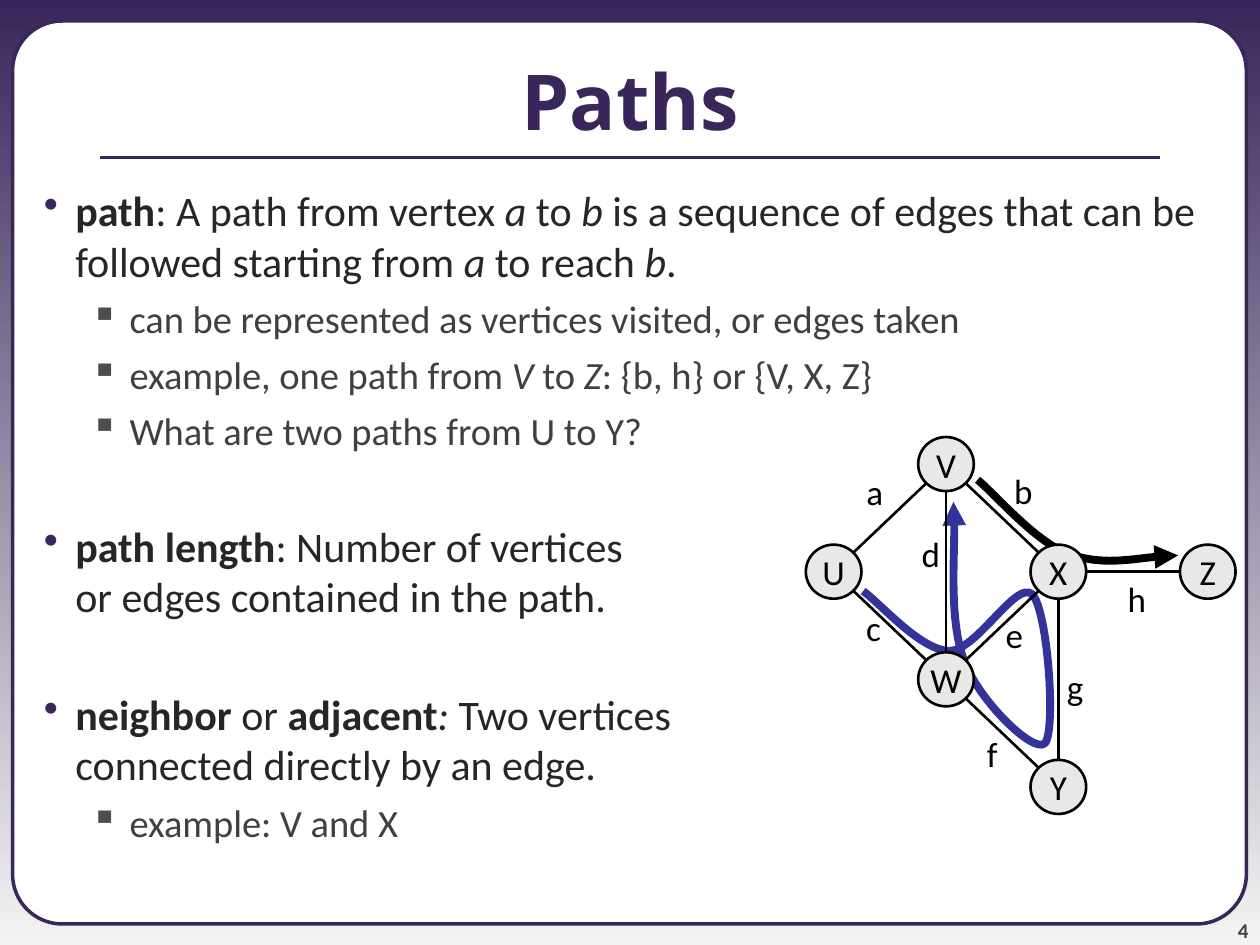
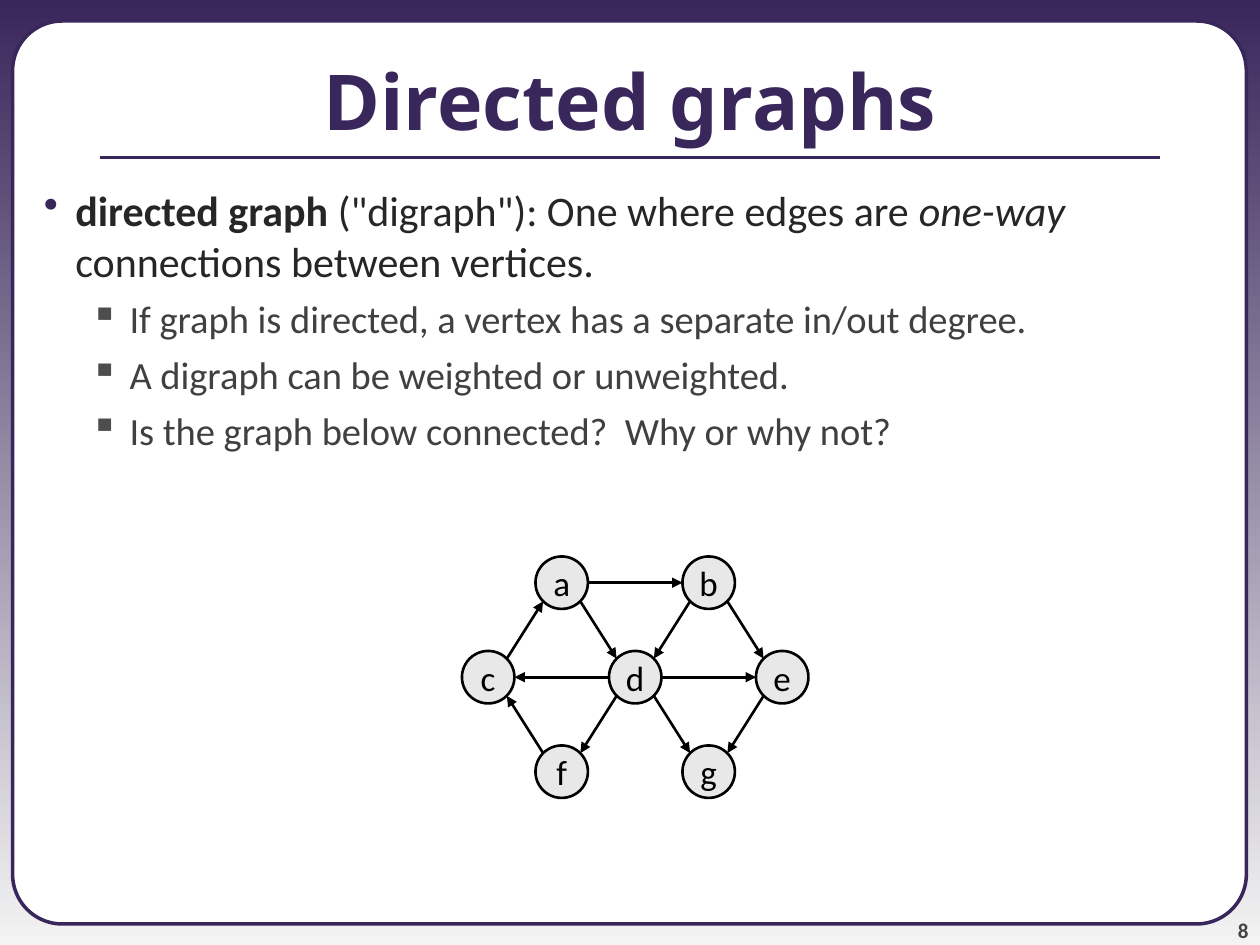
from dataclasses import dataclass

from lxml.etree import SubElement
from pptx import Presentation
from pptx.dml.color import RGBColor
from pptx.enum.shapes import MSO_CONNECTOR, MSO_SHAPE
from pptx.enum.text import MSO_ANCHOR as Anchor, PP_ALIGN as Align
from pptx.oxml.ns import qn
from pptx.util import Inches, Pt

COLORS = {
    "purple": "39275B", "mist": "F3F3F3", "white": "FFFFFF", "black": "000000",
    "node": "E8E8E8", "route": "333399", "number": "424242",
    "text": "262626", "subtext": "404040", "subbullet": "4D4D4D",
}
BODY_FONT, TITLE_FONT = "Calibri", "Noto Sans"

# The slide is a grid of 120 columns and 90 rows
COLUMNS, ROWS = 120, 90
WIDTH, HEIGHT = Inches(10), Inches(7.5)
DIAGONAL = 0.71  # share of the radius where a slanted edge meets a node


@dataclass(frozen=True)
class Level:
    bullet: str
    bullet_color: str
    color: str
    size: float
    margin: float
    hanging: float
    before: float


@dataclass(frozen=True)
class Item:
    text: str  # *bold*, _italic_
    level: int = 0
    gap: float = 0  # extra points above


@dataclass(frozen=True)
class Graph:
    origin: tuple[float, float]
    step: tuple[float, float]
    node_size: tuple[float, float]
    nodes: dict[str, tuple[float, float]]
    edges: str
    directed: bool = False

    def center(self, name: str) -> tuple[float, float]:
        column, row = self.nodes[name]
        return (self.origin[0] + column * self.step[0],
                self.origin[1] + row * self.step[1])


@dataclass(frozen=True)
class Route:
    color: str
    points: list[tuple[float, float]]  # a start, then three points per curve


LEVELS = [
    Level("•", "purple", "text", 24, 0.5, 0.25, 6),
    Level("▪", "subbullet", "subtext", 22, 0.93, 0.31, 5.5),
]
SECTION_GAP = 32.4

PATH_ITEMS = [
    Item("*path*: A path from vertex _a_ to _b_ is a sequence of edges that can be "
         "followed starting from _a_ to reach _b_."),
    Item("can be represented as vertices visited, or edges taken", 1),
    Item("example, one path from _V_ to _Z_: {b, h} or {V, X, Z}", 1),
    Item("What are two paths from U to Y?", 1),
    Item("*path length*: Number of vertices\nor edges contained in the path.",
         gap=SECTION_GAP),
    Item("*neighbor *or *adjacent*_: _Two vertices\nconnected directly by an edge.",
         gap=SECTION_GAP),
    Item("example: V and X", 1),
]
DIGRAPH_ITEMS = [
    Item('*directed graph *("digraph"): One where edges are _one-way_ '
         "connections between vertices."),
    Item("If graph is directed, a vertex has a separate in/out degree.", 1),
    Item("A digraph can be weighted or unweighted.", 1),
    Item("Is the graph below connected?  Why or why not?", 1),
]

PATH_GRAPH = Graph(
    (79.4, 44.2), (10.7, 10.25), (5.3, 5.15),
    {"V": (1, 0), "U": (0, 1), "X": (2, 1), "Z": (3.33, 1), "W": (1, 2), "Y": (2, 3)},
    "VU WU WX XZ VX VW WY XY")
DIGRAPH = Graph(
    (46.5, 55.5), (7, 9), (5, 5),
    {"a": (1, 0), "b": (3, 0), "c": (0, 1), "d": (2, 1), "e": (4, 1),
     "f": (1, 2), "g": (3, 2)},
    "ca ab ad bd be de dg eg df fc dc", directed=True)
EDGE_LABELS = {
    "a": (83.3, 46.9), "b": (97.4, 46.8), "c": (83.2, 59.8), "d": (88.6, 52.8),
    "e": (96.6, 60.5), "f": (94.5, 71.8), "g": (102.4, 65.4), "h": (108.2, 57.1),
}
ROUTES = [
    Route("route", [
        (82.2, 56.3), (83.9, 57.5), (87.6, 61.9), (90.4, 62),
        (93, 62), (96.8, 55.2), (98.3, 56.6), (99.8, 58.1), (100.6, 69.7), (99.5, 70.8),
        (98.4, 71.8), (93.2, 66.7), (91.8, 62.9), (90.4, 59), (91.1, 50.3), (90.8, 47.8)]),
    Route("black", [
        (93.1, 45.7), (94.6, 46.9), (98.5, 51.5), (101.6, 52.7),
        (104.9, 53.9), (110, 52.9), (112.2, 52.9)]),
]


def rgb(name: str) -> RGBColor:
    return RGBColor.from_string(COLORS[name])


def across(columns: float) -> int:
    return round(WIDTH * columns / COLUMNS)


def down(rows: float) -> int:
    return round(HEIGHT * rows / ROWS)


def box(left: float, top: float, width: float, height: float) -> tuple[int, ...]:
    return across(left), down(top), across(width), down(height)


def centered(center: tuple[float, float], width: float, height: float) -> tuple[int, ...]:
    return box(center[0] - width / 2, center[1] - height / 2, width, height)


def write(paragraph, text: str, *, size: float, color: str = "black",
          font: str = BODY_FONT, bold: bool = False, align=Align.LEFT) -> None:
    """Fill a paragraph; *...* turns bold on and _..._ turns italic on."""
    paragraph.alignment = align
    for bold_index, chunk in enumerate(text.split("*")):
        for italic_index, piece in enumerate(chunk.split("_")):
            for line_index, line in enumerate(piece.split("\n")):
                if line_index:
                    paragraph.add_line_break()
                if not line:
                    continue
                run = paragraph.add_run()
                run.text = line
                run.font.name, run.font.size = font, Pt(size)
                run.font.color.rgb = rgb(color)
                run.font.bold = bold or bold_index % 2 == 1
                run.font.italic = italic_index % 2 == 1


def add_text(slide, place: tuple[int, ...], text: str, *, anchor=Anchor.TOP,
             wrap: bool = True, inset: bool = True, **style) -> None:
    frame = slide.shapes.add_textbox(*place).text_frame
    frame.word_wrap, frame.vertical_anchor = wrap, anchor
    if not inset:
        frame.margin_left = frame.margin_right = 0
        frame.margin_top = frame.margin_bottom = 0
    write(frame.paragraphs[0], text, **style)


def style_line(shape, color: str, width: float, arrow: bool = False) -> None:
    shape.line.color.rgb = rgb(color)
    shape.line.width = Pt(width)
    if arrow:
        SubElement(shape.line._get_or_add_ln(), qn("a:tailEnd"), type="triangle")


def add_solid(slide, kind, place: tuple[int, ...], fill: str, line: str, width: float):
    shape = slide.shapes.add_shape(kind, *place)
    shape.shadow.inherit = False
    shape.fill.solid()
    shape.fill.fore_color.rgb = rgb(fill)
    style_line(shape, line, width)
    return shape


def add_line(slide, start: tuple[float, float], end: tuple[float, float],
             color: str, width: float, arrow: bool = False) -> None:
    connector = slide.shapes.add_connector(
        MSO_CONNECTOR.STRAIGHT, across(start[0]), down(start[1]),
        across(end[0]), down(end[1]))
    style_line(connector, color, width, arrow)
    SubElement(connector.element.spPr, qn("a:effectLst"))


def add_route(slide, route: Route) -> None:
    points = [(across(x), down(y)) for x, y in route.points]
    builder = slide.shapes.build_freeform(*points[0], scale=1.0)
    builder.add_line_segments(points[1:], close=False)
    shape = builder.convert_to_shape()
    shape.shadow.inherit = False
    shape.fill.background()
    style_line(shape, route.color, 4.5, arrow=True)
    # Turn every three straight segments into one Bézier curve
    segments = list(shape.element.iter(qn("a:lnTo")))
    for index in range(0, len(segments), 3):
        curve = SubElement(segments[index].getparent(), qn("a:cubicBezTo"))
        for segment in segments[index:index + 3]:
            curve.append(segment[0])
            segment.getparent().remove(segment)


def edge_end(graph: Graph, name: str, toward: str) -> tuple[float, float]:
    """Point on the rim of one node that faces another."""
    here, there = graph.center(name), graph.center(toward)
    signs = [(b > a) - (b < a) for a, b in zip(here, there)]
    share = DIAGONAL if all(signs) else 1
    x, y = (middle + sign * share * size / 2
            for middle, sign, size in zip(here, signs, graph.node_size))
    return x, y


def add_graph(slide, graph: Graph) -> None:
    for name in graph.nodes:
        place = centered(graph.center(name), *graph.node_size)
        node = add_solid(slide, MSO_SHAPE.OVAL, place, "node", "black", 1.5)
        node.text_frame.word_wrap = False
        node.text_frame.vertical_anchor = Anchor.MIDDLE
        write(node.text_frame.paragraphs[0], name, size=20, align=Align.CENTER)
    for tail, head in graph.edges.split():
        add_line(slide, edge_end(graph, tail, head), edge_end(graph, head, tail),
                 "black", 1.5, graph.directed)


def add_body(slide, items: list[Item]) -> None:
    frame = slide.shapes.add_textbox(*box(0, 17, 120, 73)).text_frame
    frame.word_wrap = True
    for index, item in enumerate(items):
        level = LEVELS[item.level]
        paragraph = frame.add_paragraph() if index else frame.paragraphs[0]
        paragraph.level = item.level
        properties = paragraph._p.get_or_add_pPr()
        properties.set("marL", str(Inches(level.margin)))
        properties.set("indent", str(-Inches(level.hanging)))
        bullet_color = SubElement(properties, qn("a:buClr"))
        SubElement(bullet_color, qn("a:srgbClr"), val=COLORS[level.bullet_color])
        SubElement(properties, qn("a:buChar"), char=level.bullet)
        if index:
            paragraph.space_before = Pt(level.before + item.gap)
        write(paragraph, item.text, size=level.size, color=level.color)


def add_slide(presentation, title: str, number: int, items: list[Item]):
    """Shared frame: gradient, white panel, page number, rule, title and body."""
    slide = presentation.slides.add_slide(presentation.slide_layouts[6])
    fill = slide.background.fill
    fill.gradient()
    fill.gradient_angle = 270
    for stop, color in zip(fill.gradient_stops, ("purple", "mist")):
        stop.color.rgb = rgb(color)
    panel = add_solid(slide, MSO_SHAPE.ROUNDED_RECTANGLE, box(1.2, 2, 117.5, 86),
                      "white", "purple", 2)
    panel.adjustments[0] = 0.055
    add_text(slide, box(109, 85, 9.9, 4.8), str(number), size=12, color="number",
             bold=True, align=Align.RIGHT, anchor=Anchor.BOTTOM, inset=False)
    add_line(slide, (9.5, 15), (110.5, 15), "purple", 2.25)
    add_text(slide, box(0, 2, 120, 15), title, size=44, color="purple", font=TITLE_FONT,
             bold=True, align=Align.CENTER, anchor=Anchor.MIDDLE)
    add_body(slide, items)
    return slide


def main() -> None:
    presentation = Presentation()
    presentation.slide_width, presentation.slide_height = WIDTH, HEIGHT

    # Paths
    slide = add_slide(presentation, "Paths", 4, PATH_ITEMS)
    for route in ROUTES:
        add_route(slide, route)
    add_graph(slide, PATH_GRAPH)
    for label, center in EDGE_LABELS.items():
        add_text(slide, centered(center, 4, 5.3), label, size=20,
                 align=Align.CENTER, wrap=False)

    # Directed graphs
    slide = add_slide(presentation, "Directed graphs", 8, DIGRAPH_ITEMS)
    add_graph(slide, DIGRAPH)

    presentation.save("out.pptx")


if __name__ == "__main__":
    main()
